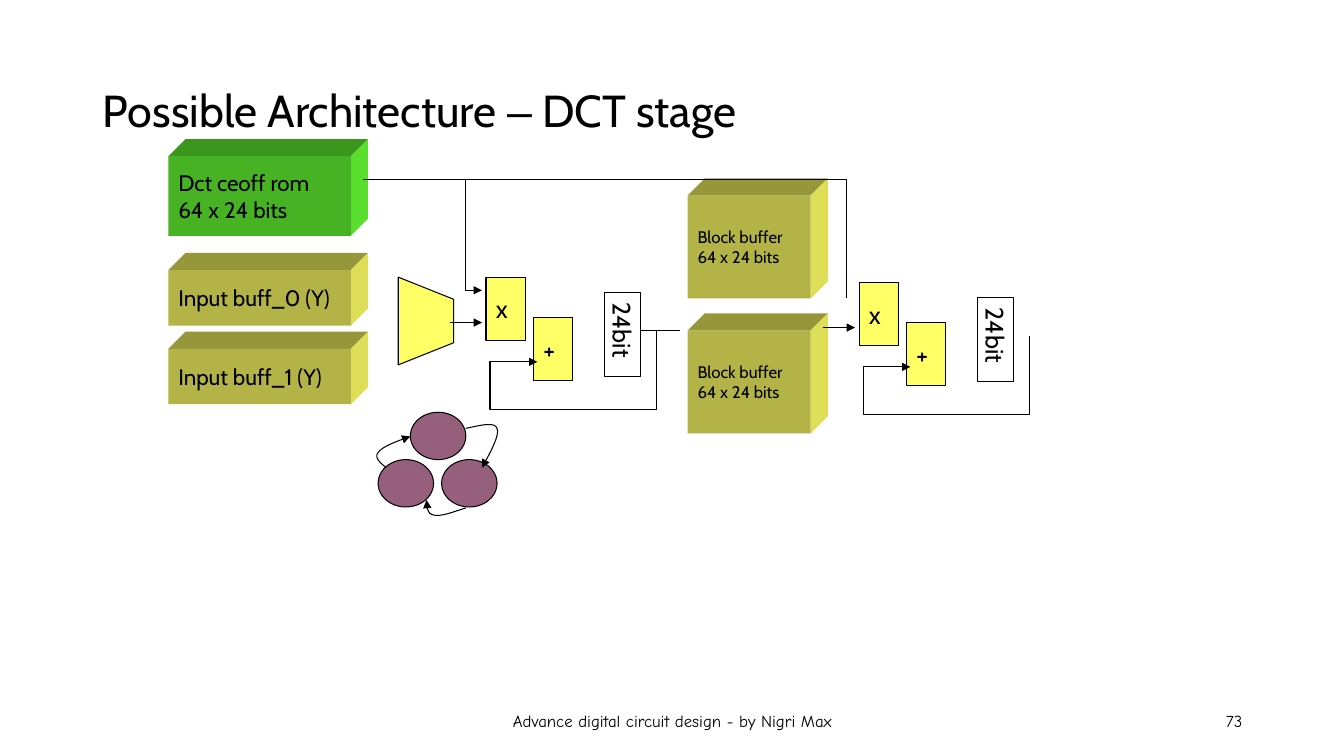
import pptx
import pptx.dml.color
import pptx.enum.shapes
import pptx.enum.text
import pptx.oxml
import pptx.util
from pptx.util import Inches

BLACK, WHITE, YELLOW, PLUM = "000000", "FFFFFF", "FFFF66", "96607D"
# front, top and side shades of the block faces
OLIVE = ("B3B347", "96963B", "DEDE59")
GREEN = ("47B324", "3B961E", "59DE2D")
DEPTH = 0.17
STAGE_SHIFT = (3.7, 0.05)
ALIGN = pptx.enum.text.PP_ALIGN
SHAPE = pptx.enum.shapes.MSO_SHAPE


def color(value):
    return pptx.dml.color.RGBColor.from_string(value)


def format_text(frame, size, font, align=ALIGN.LEFT):
    frame.vertical_anchor = pptx.enum.text.MSO_ANCHOR.MIDDLE
    for para in frame.paragraphs:
        para.alignment = align
        for span in para.runs:
            span.font.size = pptx.util.Pt(size)
            span.font.name = font
            span.font.color.rgb = color(BLACK)


def set_style(shape, fill=None, line=BLACK):
    shape.shadow.inherit = False
    if fill:
        shape.fill.solid()
        shape.fill.fore_color.rgb = color(fill)
    else:
        shape.fill.background()
    if line:
        shape.line.color.rgb = color(line)
        shape.line.width = pptx.util.Pt(0.75)
    else:
        shape.line.fill.background()


def add_arrowhead(shape):
    line = shape.line._get_or_add_ln()
    line.append(pptx.oxml.parse_xml(
        '<a:tailEnd xmlns:a="http://schemas.openxmlformats.org/drawingml/2006/main" type="triangle"/>'))


def add_box(page, kind, place, fill, line=BLACK, text="", size=18):
    box = page.shapes.add_shape(kind, *map(Inches, place))
    set_style(box, fill, line)
    if text:
        box.text_frame.text = text
        box.text_frame.word_wrap = False
        format_text(box.text_frame, size, "Cabin")
    return box


def add_outline(page, points, fill=None, line=BLACK, arrow=False):
    """Draw a closed area when a fill is given, otherwise an open line."""
    corners = [(Inches(x), Inches(y)) for x, y in points]
    builder = page.shapes.build_freeform(*corners[0])
    builder.add_line_segments(corners[1:], close=bool(fill))
    outline = builder.convert_to_shape()
    set_style(outline, fill, line)
    if arrow:
        add_arrowhead(outline)


def add_line(page, start, end, arrow=False):
    line = page.shapes.add_connector(
        pptx.enum.shapes.MSO_CONNECTOR.STRAIGHT, *map(Inches, start + end))
    line.line.color.rgb = color(BLACK)
    line.line.width = pptx.util.Pt(0.75)
    if arrow:
        add_arrowhead(line)
    line._element.spPr.append(pptx.oxml.parse_xml(
        '<a:effectLst xmlns:a="http://schemas.openxmlformats.org/drawingml/2006/main"/>'))


def curve_points(knots, steps=8):
    """Points along joined cubic curves; knots hold start, then control, control, end."""
    points = [knots[0]]
    for first in range(0, len(knots) - 1, 3):
        for step in range(1, steps + 1):
            t = step / steps
            weights = ((1 - t) ** 3, 3 * t * (1 - t) ** 2, 3 * t * t * (1 - t), t ** 3)
            points.append(tuple(
                sum(w * knot[axis] for w, knot in zip(weights, knots[first:first + 4]))
                for axis in (0, 1)))
    return points


def add_block(page, place, text, size, shades):
    """Draw a box with a top and a right face."""
    left, top, width, height = place
    right, bottom = left + width, top + height
    front, upper, side = shades
    add_outline(page, [(left, top), (left + DEPTH, top - DEPTH),
                       (right + DEPTH, top - DEPTH), (right, top)], upper, None)
    add_outline(page, [(right, top), (right + DEPTH, top - DEPTH),
                       (right + DEPTH, bottom - DEPTH), (right, bottom)], side, None)
    add_box(page, SHAPE.RECTANGLE, place, front, None, text, size)


def add_multiply_stage(page, dx, dy):
    """Draw multiplier, adder and register with the feedback line."""
    for x, y, sign in ((4.82, 2.75, "x"), (5.29, 3.15, "+")):
        add_box(page, SHAPE.RECTANGLE, (x + dx, y + dy, 0.39, 0.63), YELLOW, text=sign)
    register = add_box(page, SHAPE.RECTANGLE, (5.76 + dx, 3.14 + dy, 0.83, 0.36),
                       WHITE, text="24bit")
    register.rotation = 90
    feedback = [(6.51, 3.28), (6.51, 4.06), (4.86, 4.06), (4.86, 3.59), (5.33, 3.59)]
    add_outline(page, [(x + dx, y + dy) for x, y in feedback], arrow=True)
    add_line(page, (4.46 + dx, 3.2 + dy), (4.78 + dx, 3.2 + dy), arrow=True)


def add_state_machine(page):
    for x, y in ((4.07, 4.09), (4.38, 4.56), (3.75, 4.56)):
        add_box(page, SHAPE.OVAL, (x, y, 0.55, 0.47), PLUM)
    transitions = (
        [(4.62, 4.25), (4.76, 4.22), (4.91, 4.18), (4.93, 4.25),
         (4.96, 4.31), (4.87, 4.48), (4.78, 4.64)],
        [(4.62, 5.04), (4.49, 5.08), (4.37, 5.13), (4.3, 5.11),
         (4.24, 5.1), (4.23, 5.03), (4.23, 4.96)],
        [(3.83, 4.64), (3.77, 4.59), (3.71, 4.54), (3.75, 4.49),
         (3.79, 4.43), (3.93, 4.38), (4.07, 4.33)],
    )
    for knots in transitions:
        add_outline(page, curve_points(knots), arrow=True)


def add_title(page):
    title = page.shapes.title
    title.left, title.top, title.width, title.height = map(Inches, (0.92, 0.4, 11.5, 1.45))
    frame = title.text_frame
    para = frame.paragraphs[0]
    for text in ("Possible Architecture ", "–", " DCT stage"):
        para.add_run().text = text
    para.line_spacing = 0.9
    frame.word_wrap = True
    frame.auto_size = pptx.enum.text.MSO_AUTO_SIZE.NONE
    format_text(frame, 32, "Cabin")
    para.runs[1].font.name = "Arial"


def add_footer(page, left, width, text, align):
    box = page.shapes.add_textbox(*map(Inches, (left, 6.95, width, 0.4)))
    box.text_frame.text = text
    box.text_frame.word_wrap = True
    format_text(box.text_frame, 12, "Comic Neue", align)


def main():
    deck = pptx.Presentation()
    deck.slide_width, deck.slide_height = Inches(13.33), Inches(7.5)
    page = deck.slides.add_slide(deck.slide_layouts[5])

    add_footer(page, 4.42, 4.5, "Advance digital circuit design - by Nigri Max", ALIGN.CENTER)
    add_footer(page, 9.42, 3, "73", ALIGN.RIGHT)
    add_title(page)

    for number, top in enumerate((2.68, 3.46)):
        add_block(page, (1.67, top, 1.81, 0.55), f"Input buff_{number} (Y)", 16, OLIVE)
    add_state_machine(page)
    selector = [(3.95, 2.75), (4.5, 2.97), (4.5, 3.4), (3.95, 3.62)]
    add_outline(page, selector, YELLOW)
    for top in (1.94, 3.28):
        add_block(page, (6.82, top, 1.22, 1.02), "Block buffer\v64 x 24 bits", 12, OLIVE)
    add_block(page, (1.67, 1.55, 1.81, 0.79), "Dct ceoff rom\v64 x 24 bits", 16, GREEN)

    add_line(page, (6.35, 3.28), (6.74, 3.28))
    add_outline(page, [(3.6, 1.78), (4.62, 1.78), (4.62, 2.88), (4.78, 2.88)], arrow=True)
    add_multiply_stage(page, 0, 0)
    add_multiply_stage(page, *STAGE_SHIFT)
    add_outline(page, [(4.62, 1.78), (8.4, 1.78), (8.4, 2.96)])
    deck.save("out.pptx")


if __name__ == "__main__":
    main()
